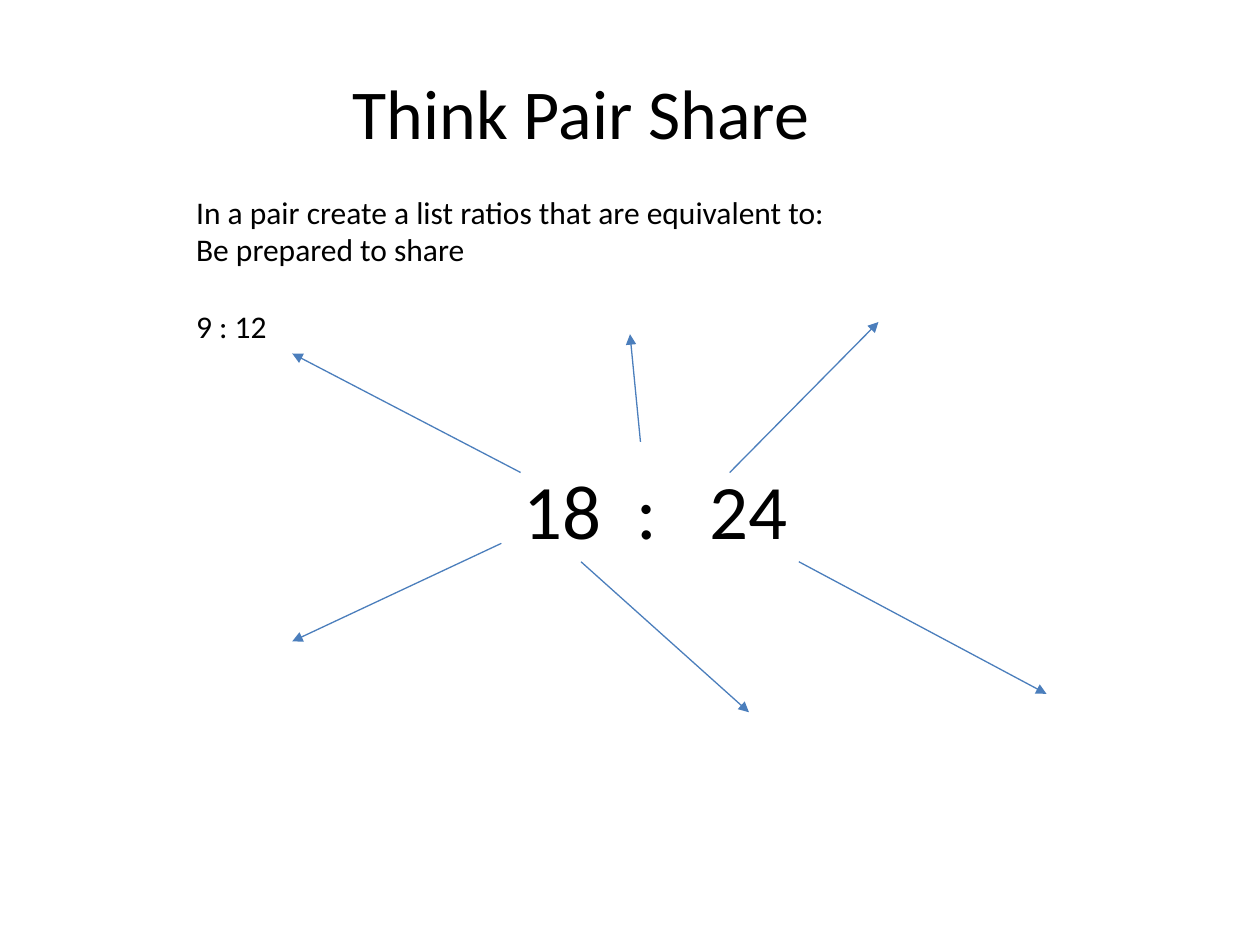
from lxml import etree
from pptx import Presentation
from pptx import util as u
from pptx.dml import color
from pptx.enum import shapes, text
from pptx.oxml import ns

Pt = u.Pt


def rgb(value):
    return color.RGBColor.from_string(value)


class RatioSlide:
    font_name = "Calibri"
    ink = "000000"
    arrow_blue = "4B7EBC"

    def __init__(self, deck):
        self.slide = deck.slides.add_slide(deck.slide_layouts[5])

    def format_run(self, paragraph, size):
        for run in paragraph.runs:
            run.font.name = self.font_name
            run.font.size = Pt(size)
            run.font.color.rgb = rgb(self.ink)

    def title(self, wording, left, top, width, height, size):
        heading = self.slide.shapes.title
        heading.left, heading.top = Pt(left), Pt(top)
        heading.width, heading.height = Pt(width), Pt(height)
        frame = heading.text_frame
        frame.text = wording
        frame.auto_size = text.MSO_AUTO_SIZE.NONE
        frame.vertical_anchor = text.MSO_ANCHOR.TOP
        frame.paragraphs[0].alignment = text.PP_ALIGN.CENTER
        self.format_run(frame.paragraphs[0], size)

    def text_box(self, wording, left, top, width, height, size):
        frame = self.slide.shapes.add_textbox(
            Pt(left), Pt(top), Pt(width), Pt(height)).text_frame
        frame.word_wrap = True
        frame.text = wording
        for paragraph in frame.paragraphs:
            self.format_run(paragraph, size)
        return frame

    def tab_stops(self, paragraph, positions):
        properties = paragraph._p.get_or_add_pPr()
        stops = etree.SubElement(properties, ns.qn("a:tabLst"))
        for position in positions:
            etree.SubElement(stops, ns.qn("a:tab"),
                             pos=str(int(Pt(position))), algn="l")

    def arrow(self, start, end):
        ray = self.slide.shapes.add_connector(
            shapes.MSO_CONNECTOR.STRAIGHT, *(Pt(v) for v in start + end))
        ray.line.color.rgb = rgb(self.arrow_blue)
        ray.line.width = Pt(0.75)
        etree.SubElement(ray.line._get_or_add_ln(), ns.qn("a:tailEnd"),
                         type="triangle")
        etree.SubElement(ray._element.spPr, ns.qn("a:effectLst"))


def main():
    deck = Presentation()
    deck.slide_width, deck.slide_height = Pt(720), Pt(540)
    page = RatioSlide(deck)

    # Heading
    page.title("Think Pair Share", 105, 36, 454, 55.5, 40)

    # Task and first example
    task = page.text_box(
        "In a pair create a list ratios that are equivalent to:\n"
        "Be prepared to share\n9 : 12", 105, 106.5, 516, 95, 18)
    task.paragraphs[2].space_before = Pt(22)

    # Central ratio, its parts spaced by tab stops
    ratio = page.text_box("18\t:\t24", 292.2, 260.5, 190, 61, 44)
    page.tab_stops(ratio.paragraphs[0], (64.5, 106))

    # Arrows from the central ratio to the equivalent ratios
    for start, end in (
        ((332, 321), (428, 407)),
        ((417, 270), (502, 184)),
        ((297.5, 270), (167, 202)),
        ((286.5, 310.5), (167, 366.5)),
        ((456.5, 321), (598, 396.5)),
        ((366, 252.5), (360, 191)),
    ):
        page.arrow(start, end)

    deck.save("out.pptx")


if __name__ == "__main__":
    main()
